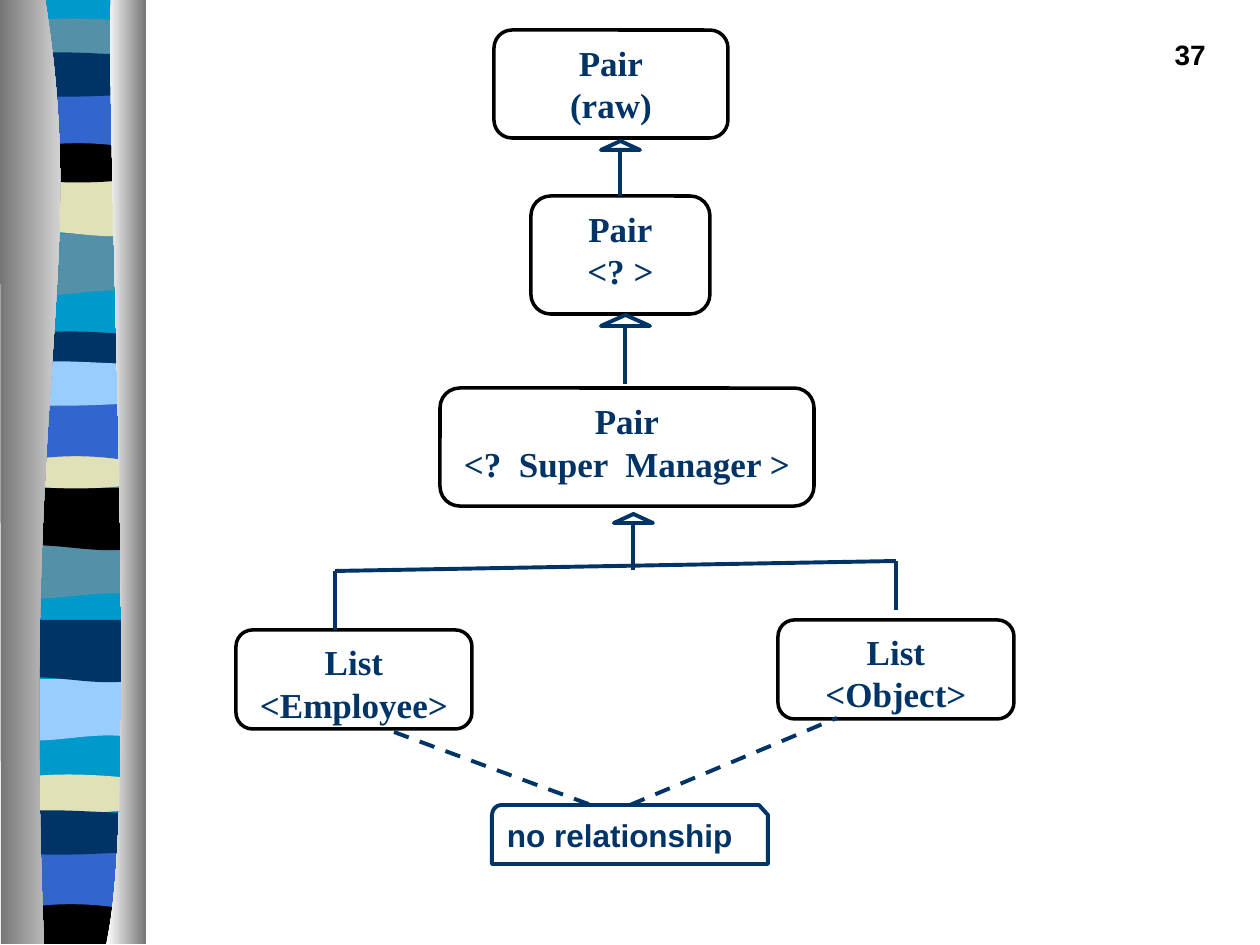
"""Build the slide showing the Pair type hierarchy beside a striped ribbon."""
import lxml.etree
import pptx
import pptx.dml.color
import pptx.enum.dml
import pptx.enum.shapes
import pptx.enum.text
import pptx.oxml.ns
import pptx.util

SCALE = 914400 / 126
COLORS = {"black": "000000", "white": "FFFFFF", "navy": "003366", "cyan": "0099CC",
          "teal": "5490A8", "sand": "E1E1B7", "blue": "3366CC", "sky": "99CCFF",
          "gray": "767676"}
RIBBON = [[(13, -1), (143, -1)], [(143, 941), (13, 941)]]
BAND_WIDTH = 130
FLAT = (0, 0)
MOTIFS = {
    "swell": (FLAT, (59, 68, 50, 59)),
    "roll": (FLAT, (59, 52, 69, 59)),
    "hump": ((5, -2, 0, 5), (35, 40, 40, 35)),
    "crest": ((0, 6, 0, 0), (42, 48, 48, 42)),
    "arch": (FLAT, (59, 50, 50, 59)),
    "slope": ((6, 0, 6, 6), (45, 50, 47, 45)),
    "foot": ((0, 6, 0, 0), (47, 47)),
}
BANDS = [
    ("swell", "teal", 13, 234), ("roll", "sand", 15, 174), ("hump", "teal", 15, 18),
    ("crest", "black", 13, 136), ("arch", "blue", 13, 91), ("slope", "navy", 13, 49),
    ("swell", "teal", 9, 537), ("roll", "black", 11, 488), ("hump", "navy", 11, 331),
    ("crest", "sand", 11, 442), ("arch", "blue", 11, 404), ("slope", "sky", 11, 358),
    ("swell", "sky", 6, 679), ("roll", "navy", 10, 620), ("hump", "sand", 9, 774),
    ("foot", "black", 9, 897), ("arch", "blue", 6, 852), ("slope", "navy", 5, 807),
]
RAILS = [
    ([[(45, -1), (89, 272), (21, 373), (44, 944)], [(1, 944), (0, -1)]], ("gray", "white")),
    ([[(111, -1), (106, 158), (140, 814), (106, 944)], [(146, 944), (146, 0)]],
     ("white", "gray")),
]
TYPES = [
    (["Pair", "(raw)"], (494, 30, 234, 108)),
    (["Pair", "<? >"], (531, 196, 179, 118)),
    (["List", "<Employee>"], (236, 630, 236, 99)),
    (["List", "<Object>"], (778, 620, 236, 99)),
    (["Pair", "<?  Super  Manager >"], (440, 388, 374, 118)),
]
ARROWS = [
    ((601, 141, 39, 9), (620, 196)),
    ((601, 315, 49, 11), (625, 384)),
    ((614, 514, 39, 9), (633, 570)),
]
BRANCHES = [(335, 571, 896, 561), (335, 571, 335, 630), (896, 561, 896, 610)]
DASHES = [(394, 732, 591, 805), (630, 805, 837, 718)]
NOTE = [[(492, 815), (492, 810), (496, 805), (501, 805)],
        [(759, 805), (768, 815)], [(768, 864), (492, 864)]]


def px(value):
    return pptx.util.Emu(round(value * SCALE))


def rgb(name):
    return pptx.dml.color.RGBColor.from_string(COLORS[name])


def paint(shape, fill=None, line=None, width=2.24):
    shape.shadow.inherit = False
    if fill:
        shape.fill.solid()
        shape.fill.fore_color.rgb = rgb(fill)
    else:
        shape.fill.background()
    if line:
        shape.line.color.rgb = rgb(line)
        shape.line.width = pptx.util.Pt(width)
    else:
        shape.line.fill.background()
    return shape


def add_box(kind, box, **look):
    return paint(page.shapes.add_shape(kind, *map(px, box)), **look)


def add_outline(edges, **look):
    """Draw a closed outline whose four-point edges are cubic curves."""
    points = [tuple(map(px, point)) for edge in edges for point in edge]
    builder = page.shapes.build_freeform(*points[0])
    builder.add_line_segments(points[1:], close=True)
    shape = builder.convert_to_shape()
    segments = list(shape._element.iter(pptx.oxml.ns.qn("a:lnTo")))
    start = 0
    for edge in edges:
        if len(edge) == 4:
            bend, *others = segments[start:start + 3]
            bend.tag = pptx.oxml.ns.qn("a:cubicBezTo")
            for other in others:
                bend.append(other[0])
                other.getparent().remove(other)
        start += len(edge)
    return paint(shape, **look)


def band_edge(left, top, rises):
    step = BAND_WIDTH / (len(rises) - 1)
    return [(left + step * i, top + rise) for i, rise in enumerate(rises)]


def add_line(ends, dashed=False):
    line = page.shapes.add_connector(pptx.enum.shapes.MSO_CONNECTOR.STRAIGHT, *map(px, ends))
    line.line.color.rgb = rgb("navy")
    line.line.width = pptx.util.Pt(2.24)
    if dashed:
        line.line.dash_style = pptx.enum.dml.MSO_LINE.DASH
    lxml.etree.SubElement(line._element.spPr, pptx.oxml.ns.qn("a:effectLst"))


def write(shape, lines, font="Arial", size=18, color="navy", align="LEFT", anchor="TOP"):
    """Fill a shape with bold paragraphs."""
    frame = shape.text_frame
    frame.word_wrap = True
    frame.vertical_anchor = getattr(pptx.enum.text.MSO_ANCHOR, anchor)
    for index, text in enumerate(lines):
        para = frame.add_paragraph() if index else frame.paragraphs[0]
        para.alignment = getattr(pptx.enum.text.PP_ALIGN, align)
        span = para.add_run()
        span.text = text
        span.font.name = font
        span.font.size = pptx.util.Pt(size)
        span.font.bold = True
        span.font.color.rgb = rgb(color)


deck = pptx.Presentation()
deck.slide_width, deck.slide_height = px(1260), px(945)
page = deck.slides.add_slide(deck.slide_layouts[6])
PRESETS = pptx.enum.shapes.MSO_SHAPE

add_outline(RIBBON, fill="cyan")
for motif, color, left, top in BANDS:
    upper, lower = (band_edge(left, top, rises) for rises in MOTIFS[motif])
    add_outline([upper, lower[::-1]], fill=color)

for edges, shades in RAILS:
    rail = add_outline(edges)
    rail.fill.gradient()
    rail.fill.gradient_angle = 0
    for stop, shade in zip(rail.fill.gradient_stops, shades):
        stop.color.rgb = rgb(shade)

number = page.shapes.add_textbox(*map(px, (956, 31, 262, 63)))
write(number, ["37"], size=16, color="black", align="RIGHT")

for lines, box in TYPES:
    shape = add_box(PRESETS.ROUNDED_RECTANGLE, box, fill="white", line="black", width=2.01)
    write(shape, lines, font="Times New Roman", size=20, align="CENTER")

for head, tail in ARROWS:
    add_box(PRESETS.ISOSCELES_TRIANGLE, head, line="navy")
    add_line((tail[0], head[1] + head[3], *tail))
for ends in BRANCHES:
    add_line(ends)

note = add_outline(NOTE, line="navy")
write(note, ["no relationship"], anchor="MIDDLE")
note.text_frame.margin_left = px(15)
for ends in DASHES:
    add_line(ends, dashed=True)

deck.save("out.pptx")
